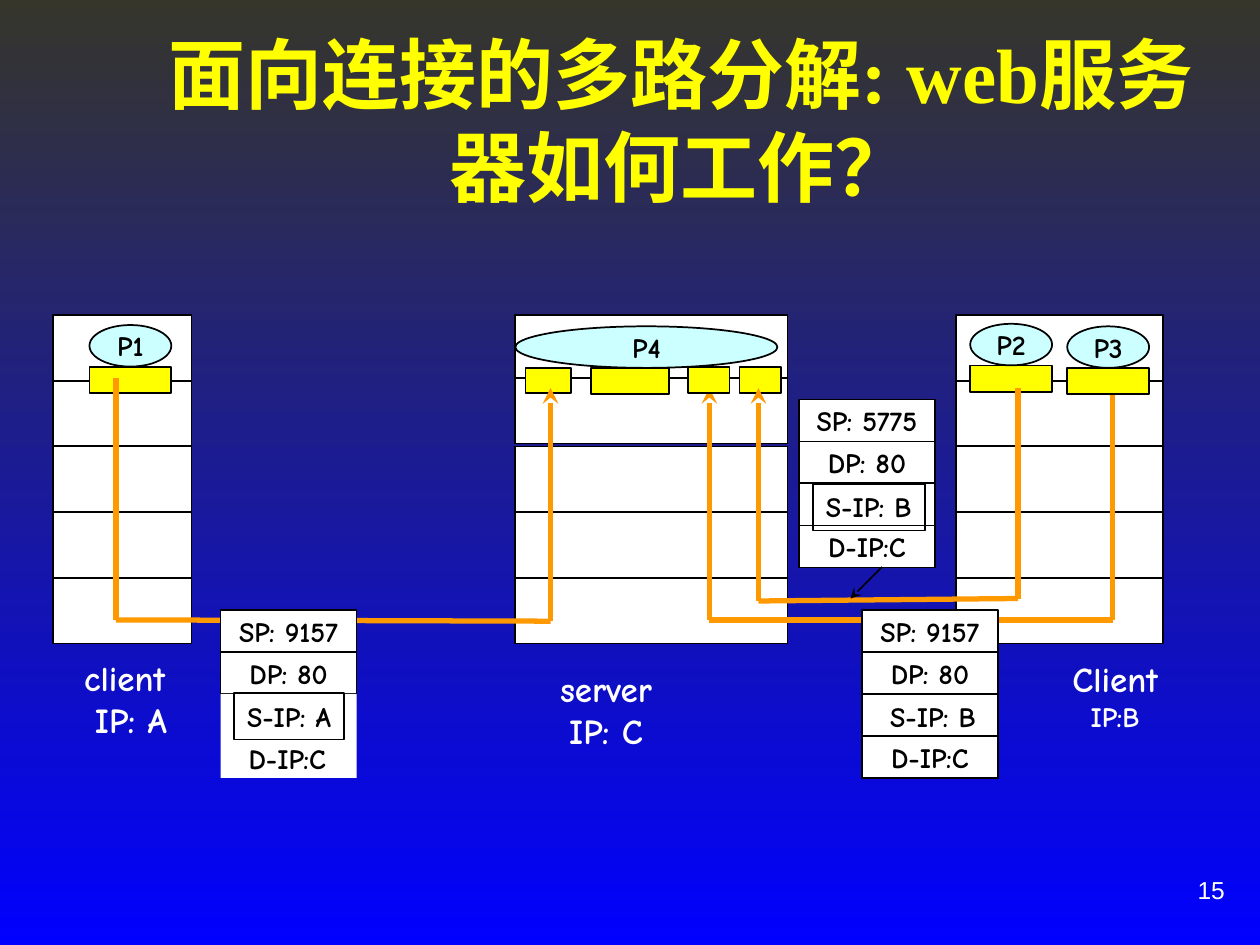
"""Build a slide on connection-oriented demultiplexing at a web server."""
from dataclasses import dataclass
from itertools import pairwise

from lxml.etree import SubElement
from pptx import Presentation
from pptx.dml.color import RGBColor
from pptx.enum.shapes import MSO_CONNECTOR, MSO_SHAPE
from pptx.enum.text import MSO_ANCHOR, MSO_AUTO_SIZE, PP_ALIGN
from pptx.oxml.ns import qn
from pptx.shapes.base import BaseShape
from pptx.slide import Slide
from pptx.util import Inches, Pt

BLACK = RGBColor(0x00, 0x00, 0x00)
WHITE = RGBColor(0xFF, 0xFF, 0xFF)
YELLOW = RGBColor(0xFF, 0xFF, 0x00)
ORANGE = RGBColor(0xFF, 0x99, 0x00)
PALE_CYAN = RGBColor(0xCC, 0xFF, 0xFF)
OLIVE = RGBColor(0x36, 0x36, 0x2B)
BLUE = RGBColor(0x00, 0x00, 0xFF)

DIAGRAM_FONT = "Comic Neue"
HOST_TOP = 2.5
LAYER_PITCH = 0.522
LAYER_COUNT = 5
FIELD_HEIGHT = 1 / 3
FIELD_WIDTH = 1.08

Point = tuple[float, float]


@dataclass(frozen=True)
class Box:
    left: float
    top: float
    width: float
    height: float


@dataclass(frozen=True)
class Host:
    left: float
    width: float
    caption: str
    caption_box: Box
    address_size: int = 20
    transport_top: float = HOST_TOP + LAYER_PITCH


@dataclass(frozen=True)
class Process:
    name: str
    box: Box


@dataclass(frozen=True)
class Segment:
    left: float
    top: float
    source_port: int
    source_ip: str
    source_ip_box: Box
    framed: bool
    ruled: bool = True


HOSTS = (
    Host(0.42, 1.1, "client\n IP: A", Box(0.55, 5.16, 0.88, 0.77)),
    Host(7.59, 1.64, "Client\nIP:B", Box(8.41, 5.17, 0.88, 0.7), address_size=16),
    Host(4.09, 2.16, "server\nIP: C", Box(4.34, 5.25, 0.94, 0.77), transport_top=3),
)
PROCESSES = (
    Process("P1", Box(0.71, 2.58, 0.65, 0.33)),
    Process("P2", Box(7.7, 2.57, 0.65, 0.33)),
    Process("P3", Box(8.47, 2.59, 0.65, 0.33)),
    Process("P4", Box(4.09, 2.59, 2.08, 0.33)),
)
SOCKETS_BEHIND_ROUTES = (
    Box(0.71, 2.91, 0.65, 0.21),
    Box(7.7, 2.9, 0.65, 0.21),
    Box(4.17, 2.92, 0.36, 0.2),
    Box(4.69, 2.92, 0.62, 0.21),
    Box(5.87, 2.91, 0.33, 0.21),
)
SOCKETS_OVER_ROUTES = (
    Box(8.47, 2.92, 0.65, 0.21),
    Box(5.46, 2.91, 0.33, 0.21),
)
ROUTES: tuple[tuple[Point, ...], ...] = (
    ((0.92, 3), (0.92, 4.92), (4.37, 4.93), (4.37, 3.08)),
    ((8.83, 3), (8.83, 4.92), (5.63, 4.92), (5.63, 3.08)),
    ((8.08, 3.08), (8.08, 4.75), (6.02, 4.77), (6.02, 3.08)),
)
SEGMENTS = (
    Segment(1.75, 4.84, 9157, "A", Box(1.86, 5.5, 0.87, 0.37), True, ruled=False),
    Segment(6.84, 4.84, 9157, "B", Box(6.96, 5.5, 0.89, 0.37), False),
    Segment(6.34, 3.17, 5775, "B", Box(6.45, 3.84, 0.89, 0.37), True),
)


def write(shape: BaseShape, text: str, size: float, color: RGBColor,
          font: str = DIAGRAM_FONT, bold: bool = True,
          align: PP_ALIGN = PP_ALIGN.CENTER,
          anchor: MSO_ANCHOR = MSO_ANCHOR.MIDDLE, wrap: bool = False) -> None:
    frame = shape.text_frame
    frame.text = text
    frame.word_wrap = wrap
    frame.auto_size = MSO_AUTO_SIZE.NONE
    frame.vertical_anchor = anchor
    for paragraph in frame.paragraphs:
        paragraph.alignment = align
        for run in paragraph.runs:
            run.font.name = font
            run.font.size = Pt(size)
            run.font.bold = bold
            run.font.color.rgb = color


def add_block(slide: Slide, box: Box, fill: RGBColor | None, text: str = "",
              kind: MSO_SHAPE = MSO_SHAPE.RECTANGLE, outlined: bool = True,
              anchor: MSO_ANCHOR = MSO_ANCHOR.MIDDLE) -> None:
    block = slide.shapes.add_shape(kind, Inches(box.left), Inches(box.top),
                                   Inches(box.width), Inches(box.height))
    block.shadow.inherit = False
    if fill is None:
        block.fill.background()
    else:
        block.fill.solid()
        block.fill.fore_color.rgb = fill
    if outlined:
        block.line.color.rgb = BLACK
        block.line.width = Pt(1)
    else:
        block.line.fill.background()
    if text:
        write(block, text, 16, BLACK, anchor=anchor)


def add_label(slide: Slide, box: Box) -> BaseShape:
    return slide.shapes.add_textbox(Inches(box.left), Inches(box.top),
                                    Inches(box.width), Inches(box.height))


def add_line(slide: Slide, start: Point, end: Point, color: RGBColor,
             width: float, arrow: bool) -> None:
    line = slide.shapes.add_connector(MSO_CONNECTOR.STRAIGHT,
                                      *map(Inches, start + end))
    line.line.color.rgb = color
    line.line.width = Pt(width)
    if arrow:
        SubElement(line.line._get_or_add_ln(), qn("a:tailEnd"), type="stealth")
    SubElement(line._element.spPr, qn("a:effectLst"))


def add_host(slide: Slide, host: Host) -> None:
    tops = [HOST_TOP + layer * LAYER_PITCH for layer in range(LAYER_COUNT)]
    tops[1] = host.transport_top
    for top in tops:
        add_block(slide, Box(host.left, top, host.width, 0.52), WHITE)
    caption = add_label(slide, host.caption_box)
    write(caption, host.caption, 20, WHITE, anchor=MSO_ANCHOR.TOP)
    caption.text_frame.paragraphs[1].runs[0].font.size = Pt(host.address_size)


def add_segment(slide: Slide, segment: Segment) -> None:
    destination = "D-IP:C"
    fields = (f"SP: {segment.source_port}", "DP: 80", "",
              destination if segment.ruled else "")
    for row, field in enumerate(fields):
        box = Box(segment.left, segment.top + row * FIELD_HEIGHT,
                  FIELD_WIDTH, FIELD_HEIGHT)
        add_block(slide, box, WHITE, field, outlined=segment.ruled or row < 2)
    add_block(slide, segment.source_ip_box, None, f"S-IP: {segment.source_ip}",
              outlined=segment.framed, anchor=MSO_ANCHOR.TOP)
    if not segment.ruled:
        label = add_label(slide, Box(segment.left + 0.12, segment.top + 1, 0.82, 0.37))
        write(label, destination, 16, BLACK, anchor=MSO_ANCHOR.TOP)


def main() -> None:
    deck = Presentation()
    deck.slide_width, deck.slide_height = Inches(10), Inches(7.5)
    slide = deck.slides.add_slide(deck.slide_layouts[5])
    backdrop = slide.background.fill
    backdrop.gradient()
    backdrop.gradient_angle = 270
    for stop, color in zip(backdrop.gradient_stops, (OLIVE, BLUE)):
        stop.color.rgb = color

    title = slide.shapes.title
    title.left, title.top = Inches(1.18), Inches(0.32)
    title.width, title.height = Inches(8.45), Inches(1.25)
    write(title, "面向连接的多路分解: web服务器如何工作？", 44, YELLOW,
          font="Times New Roman", wrap=True)
    page_number = add_label(slide, Box(7.17, 6.81, 2.65, 0.5))
    write(page_number, "15", 14, WHITE, font="Arial", bold=False, align=PP_ALIGN.RIGHT)

    for host in HOSTS:
        add_host(slide, host)
    for socket in SOCKETS_BEHIND_ROUTES:
        add_block(slide, socket, YELLOW)
    for route in ROUTES:
        for start, end in pairwise(route):
            add_line(slide, start, end, ORANGE, 3, arrow=end == route[-1])
    for socket in SOCKETS_OVER_ROUTES:
        add_block(slide, socket, YELLOW)
    for process in PROCESSES:
        add_block(slide, process.box, PALE_CYAN, process.name, MSO_SHAPE.OVAL)
    for segment in SEGMENTS:
        add_segment(slide, segment)
    add_line(slide, (7, 4.5), (6.75, 4.75), BLACK, 1, arrow=True)
    deck.save("out.pptx")


if __name__ == "__main__":
    main()
